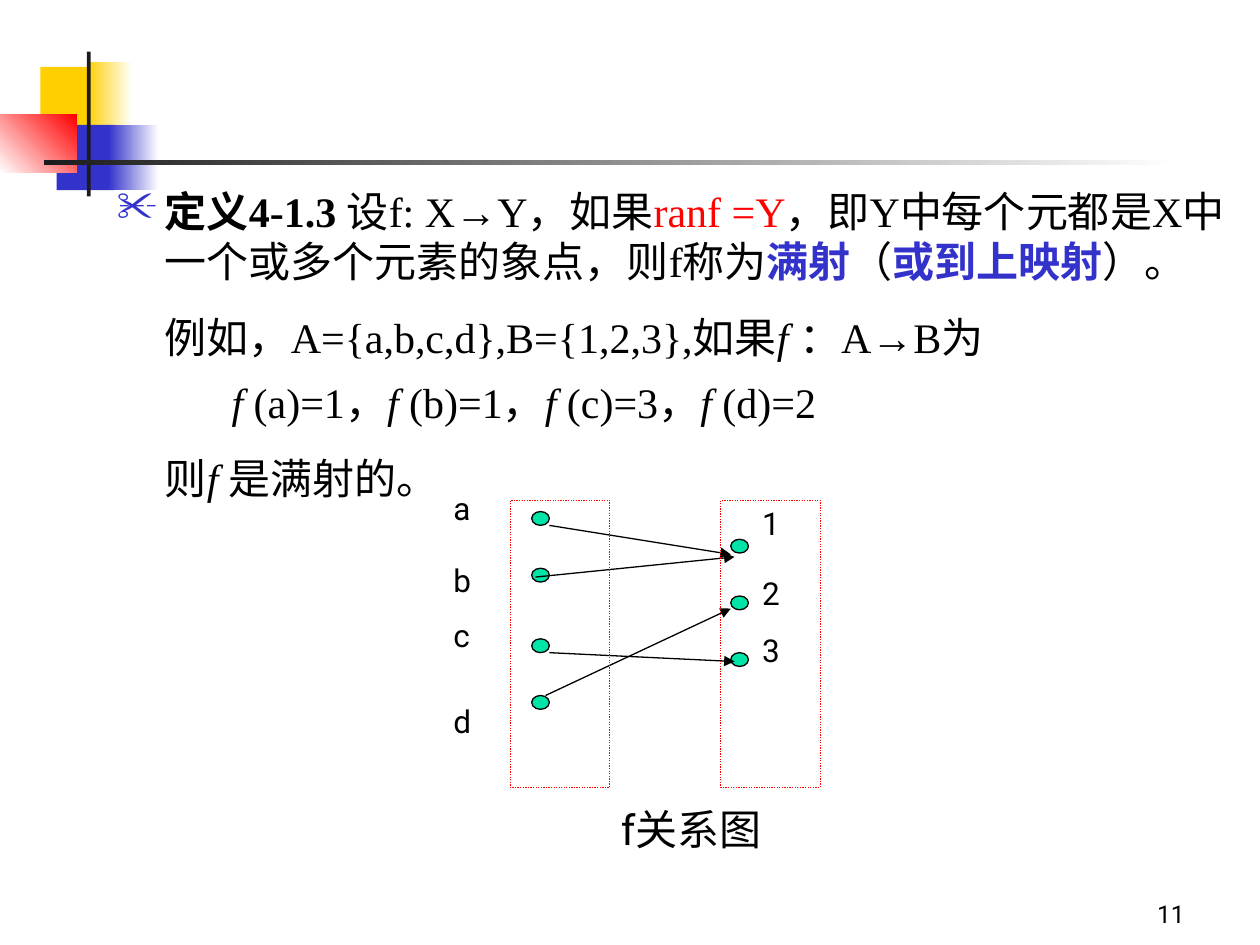
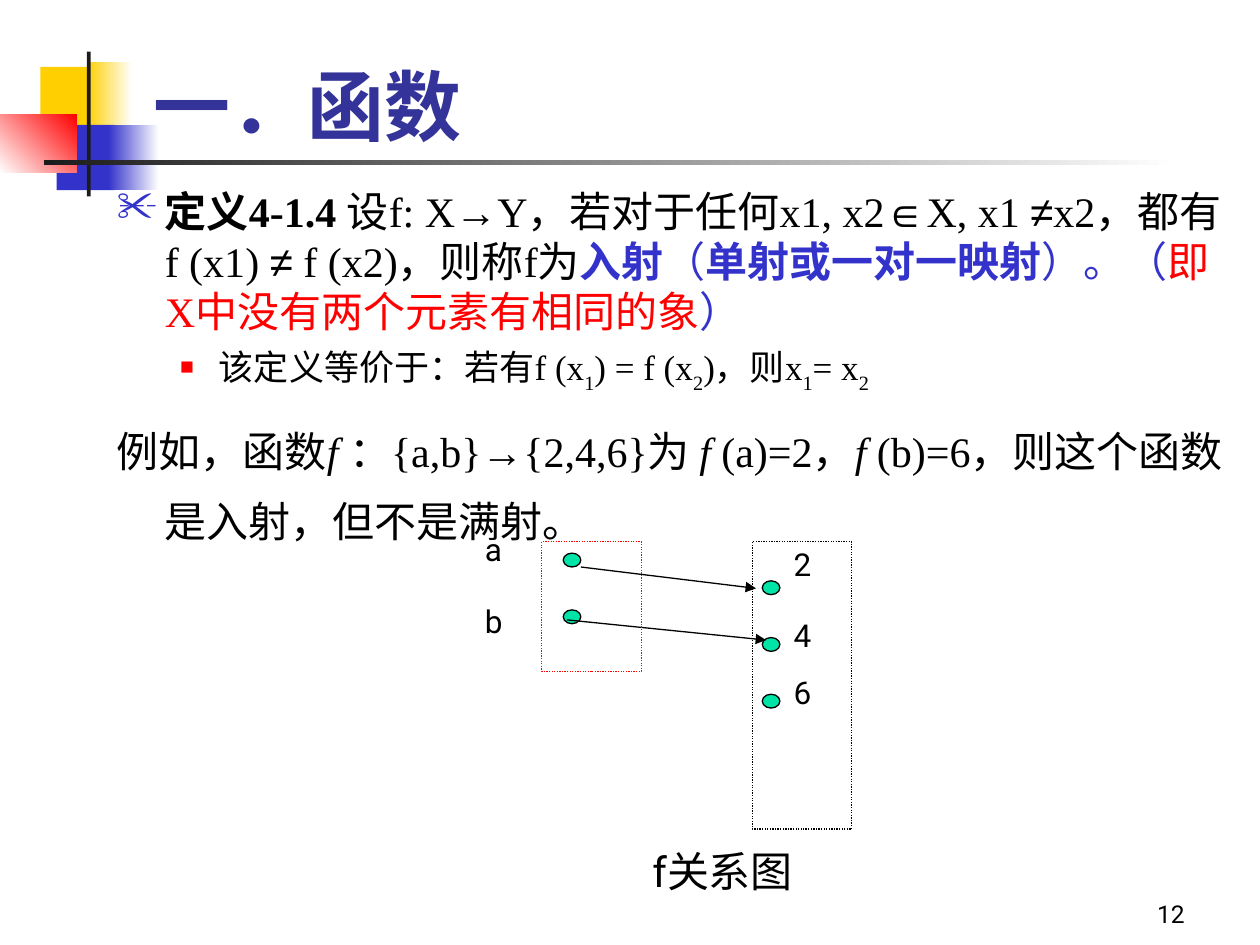
import pptx
import pptx.util
import pptx.dml.color
import pptx.enum.dml
import pptx.enum.shapes
import pptx.enum.text
import pptx.oxml.ns
from lxml import etree

Inch, Pt = pptx.util.Inches, pptx.util.Pt
RGB = pptx.dml.color.RGBColor
Shape = pptx.enum.shapes.MSO_SHAPE
Anchor = pptx.enum.text.MSO_ANCHOR
Align = pptx.enum.text.PP_ALIGN
qn = pptx.oxml.ns.qn

BLACK, WHITE = RGB(0, 0, 0), RGB(255, 255, 255)
DARK, GOLD = RGB(0x1C, 0x1C, 0x1C), RGB(0xFF, 0xCF, 0x01)
BLUE, NAVY = RGB(0x33, 0x33, 0xCC), RGB(0x33, 0x33, 0x99)
RED, GREEN = RGB(0xFF, 0, 0), RGB(0, 0xE4, 0xA8)
SERIF, SANS, SYMBOL = "Times New Roman", "Roboto", "Arial"

# Shared band: place, colours (two make a gradient), angle
BAND = [
    ((0.32, 0.53, 0.48, 0.52), [GOLD], 0),
    ((0.69, 0.49, 0.36, 0.52), [GOLD, WHITE], 0),
    ((0.45, 0.99, 0.46, 0.52), [BLUE], 0),
    ((0.86, 0.99, 0.40, 0.52), [BLUE, WHITE], 0),
    ((0, 0.91, 0.61, 0.46), [WHITE, RED], 45),
    ((0.69, 0.41, 0.03, 1.15), [DARK], 0),
    ((0.35, 1.27, 9, 0.04), [DARK, WHITE], 0),
]

# Kinds of paragraph: level, left, indent, space before, line spacing, size, bullet
KINDS = {
    "main": (0, 0.38, -0.38, 0, 1, 24, ("✂", BLUE, 100)),
    "sub": (1, 0.81, -0.31, 5, 1, 20, ("■", RED, 55)),
    "text": (0, 0.38, 0, 6, 1.3, 24, None),
    "maps": (0, 0.91, 0, 0, 1.3, 24, None),
    "hang": (0, 0.38, -0.38, 6, 1.4, 24, None),
}

# Run marks: b bold, i italic, a symbol font, r red, u blue, s subscript
SLIDES = [
    {
        "page": "11",
        "title": None,
        "body": [
            ("main", [("定义4-1.3 ", "b"), ("设f: X", ""), ("→", "a"), ("Y，如果", ""),
                      ("ranf =Y", "r"),
                      ("，即Y中每个元都是X中一个或多个元素的象点，则f称为", ""),
                      ("满射", "bu"), ("（", ""), ("或到上映射", "bu"), ("）。", "")]),
            ("text", [("例如，A={a,b,c,d},B={1,2,3},如果", ""), ("f ", "i"),
                      ("：A→B为", "")]),
            ("maps", [("f", "i"), (" (a)=1，", ""), ("f", "i"), (" (b)=1，", ""),
                      ("f", "i"), (" (c)=3，", ""), ("f", "i"), (" (d)=2", "")]),
            ("text", [("则", ""), ("f ", "i"), ("是满射的。", "")]),
        ],
        "at": (4.05, 3.97),
        "from": "abcd",
        "to": "123",
        "tall": 2.28,
        "edge": RED,
        "arrows": [(0.31, 0.20, 1.75, 0.43), (0.20, 0.61, 1.78, 0.45),
                   (0.31, 1.21, 1.78, 1.28), (0.28, 1.55, 1.75, 0.86)],
    },
    {
        "page": "12",
        "title": "一．函数",
        "body": [
            ("main", [("定义4-1.4 ", "b"), ("设f: X", ""), ("→", "a"),
                      ("Y，若对于任何x1, x2", ""), ("∈", "a"), ("X, x1 ", ""),
                      ("≠", "a"), ("x2，都有f (x1) ", ""), ("≠", "a"),
                      (" f (x2)，则称f为", ""), ("入射", "bu"), ("（", "u"),
                      ("单射或一对一映射", "bu"), ("）。（", "u"),
                      ("即X中没有两个元素有相同的象", "r"), ("）", "u")]),
            ("sub", [("该定义等价于：若有f (x", ""), ("1", "s"), (") = f (x", ""),
                     ("2", "s"), (")，则x", ""), ("1", "s"), ("= x", ""), ("2", "s")]),
            ("hang", [("例如，函数", ""), ("f ", "i"), ("：{a,b}→{2,4,6}为 ", ""),
                      ("f ", "i"), ("(a)=2，", ""), ("f ", "i"),
                      ("(b)=6，则这个函数是入射，但不是满射。", "")]),
        ],
        "at": (4.30, 4.30),
        "from": "ab",
        "to": "246",
        "tall": 1.03,
        "edge": BLACK,
        "arrows": [(0.31, 0.20, 1.70, 0.37), (0.20, 0.62, 1.78, 0.78)],
    },
]

# Diagram sides, measured from the corner of the left frame:
# dot column, dot tops, label column, label tops
LEFT = (0.17, (0.09, 0.54, 1.10, 1.55), -0.55, (-0.14, 0.43, 0.87, 1.55))
RIGHT = (1.75, (0.31, 0.76, 1.21), 1.90, (-0.02, 0.54, 0.99))
GAP, WIDE, TALL = 1.67, 0.79, 2.28


def add_box(home, kind, place, fill=None, edge=None):
    box = home.add_shape(kind, *map(Inch, place))
    box.shadow.inherit = False
    if fill is None:
        box.fill.background()
    else:
        box.fill.solid()
        box.fill.fore_color.rgb = fill
    if edge is None:
        box.line.fill.background()
    else:
        box.line.color.rgb = edge
        box.line.width = Pt(0.75)
    return box


def add_frame(home, place):
    frame = home.add_textbox(*map(Inch, place)).text_frame
    frame.word_wrap = True
    return frame


def add_run(para, text, size, font, color=BLACK, marks=""):
    run = para.add_run()
    run.text = text
    face = run.font
    face.size, face.name = Pt(size), font
    face.color.rgb = color
    face.bold, face.italic = "b" in marks, "i" in marks
    if "s" in marks:
        face._element.set("baseline", "-30000")


def add_line(home, text, place, size, font=SANS, color=BLACK, marks="",
             anchor=Anchor.TOP, align=Align.LEFT):
    frame = add_frame(home, place)
    frame.vertical_anchor = anchor
    frame.paragraphs[0].alignment = align
    add_run(frame.paragraphs[0], text, size, font, color, marks)


def set_bullet(props, bullet):
    if bullet is None:
        etree.SubElement(props, qn("a:buNone"))
        return
    sign, color, share = bullet
    tint = etree.SubElement(props, qn("a:buClr"))
    etree.SubElement(tint, qn("a:srgbClr"), val=str(color))
    etree.SubElement(props, qn("a:buSzPct"), val=str(share * 1000))
    etree.SubElement(props, qn("a:buChar"), char=sign)


def add_body(home, paras):
    frame = add_frame(home, (0.83, 1.42, 9, 5.33))
    for row, (kind, runs) in enumerate(paras):
        para = frame.add_paragraph() if row else frame.paragraphs[0]
        level, left, indent, before, pitch, size, bullet = KINDS[kind]
        para.level = level
        para.space_before, para.line_spacing = Pt(before), float(pitch)
        props = para._p.get_or_add_pPr()
        props.set("marL", str(Inch(left)))
        props.set("indent", str(Inch(indent)))
        set_bullet(props, bullet)
        for text, marks in runs:
            font = SYMBOL if "a" in marks else SERIF
            color = RED if "r" in marks else BLUE if "u" in marks else BLACK
            add_run(para, text, size, font, color, marks)


def add_arrow(home, ends):
    line = home.add_connector(pptx.enum.shapes.MSO_CONNECTOR.STRAIGHT, *map(Inch, ends))
    line.line.color.rgb = BLACK
    line.line.width = Pt(0.75)
    etree.SubElement(line.line._get_or_add_ln(), qn("a:tailEnd"), type="triangle")
    etree.SubElement(line._element.spPr, qn("a:effectLst"))


def add_figure(slide, data):
    home = slide.shapes.add_group_shape().shapes
    x, y = data["at"]
    # Dots and labels
    for names, (dot, tops, col, rows) in ((data["from"], LEFT), (data["to"], RIGHT)):
        for name, top, row in zip(names, tops, rows):
            add_box(home, Shape.OVAL, (x + dot, y + top, 0.14, 0.11), GREEN, BLACK)
            add_line(home, name, (x + col, y + row, 0.58, 0.4), 18)
    # Arrows
    for x1, y1, x2, y2 in data["arrows"]:
        add_arrow(home, (x + x1, y + y1, x + x2, y + y2))
    # Frames and caption
    for shift, tall, edge in ((0, data["tall"], RED), (GAP, TALL, data["edge"])):
        box = add_box(home, Shape.RECTANGLE, (x + shift, y, WIDE, tall), edge=edge)
        box.line.dash_style = pptx.enum.dml.MSO_LINE.ROUND_DOT
    add_line(home, "f关系图", (x + 0.78, y + 2.36, 1.5, 0.5), 24)


def add_band(home):
    for place, colors, angle in BAND:
        box = add_box(home, Shape.RECTANGLE, place, colors[0])
        if len(colors) > 1:
            box.fill.gradient()
            box.fill.gradient_angle = angle
            for stop, color in zip(box.fill.gradient_stops, colors):
                stop.color.rgb = color


def main():
    deck = pptx.Presentation()
    deck.slide_width, deck.slide_height = Inch(10), Inch(7.5)
    for data in SLIDES:
        slide = deck.slides.add_slide(deck.slide_layouts[6])
        home = slide.shapes
        add_band(home)
        add_line(home, data["page"], (7.42, 6.92, 2.08, 0.5), 14,
                 anchor=Anchor.BOTTOM, align=Align.RIGHT)
        if data["title"]:
            add_line(home, data["title"], (1.12, 0, 8.52, 1.25), 44, SERIF, NAVY, "b",
                     anchor=Anchor.BOTTOM)
        add_body(home, data["body"])
        add_figure(slide, data)
    deck.save("out.pptx")


if __name__ == "__main__":
    main()
